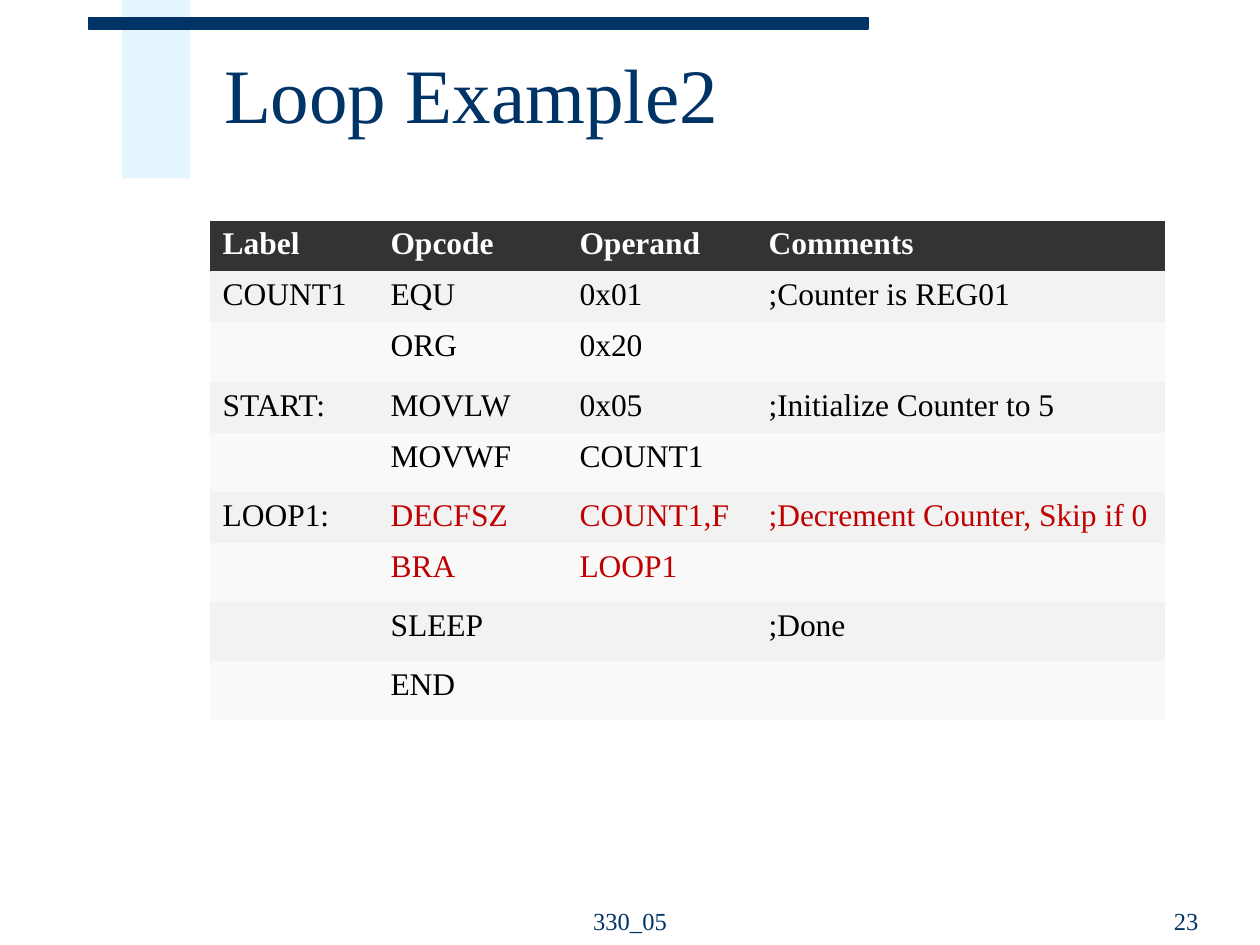
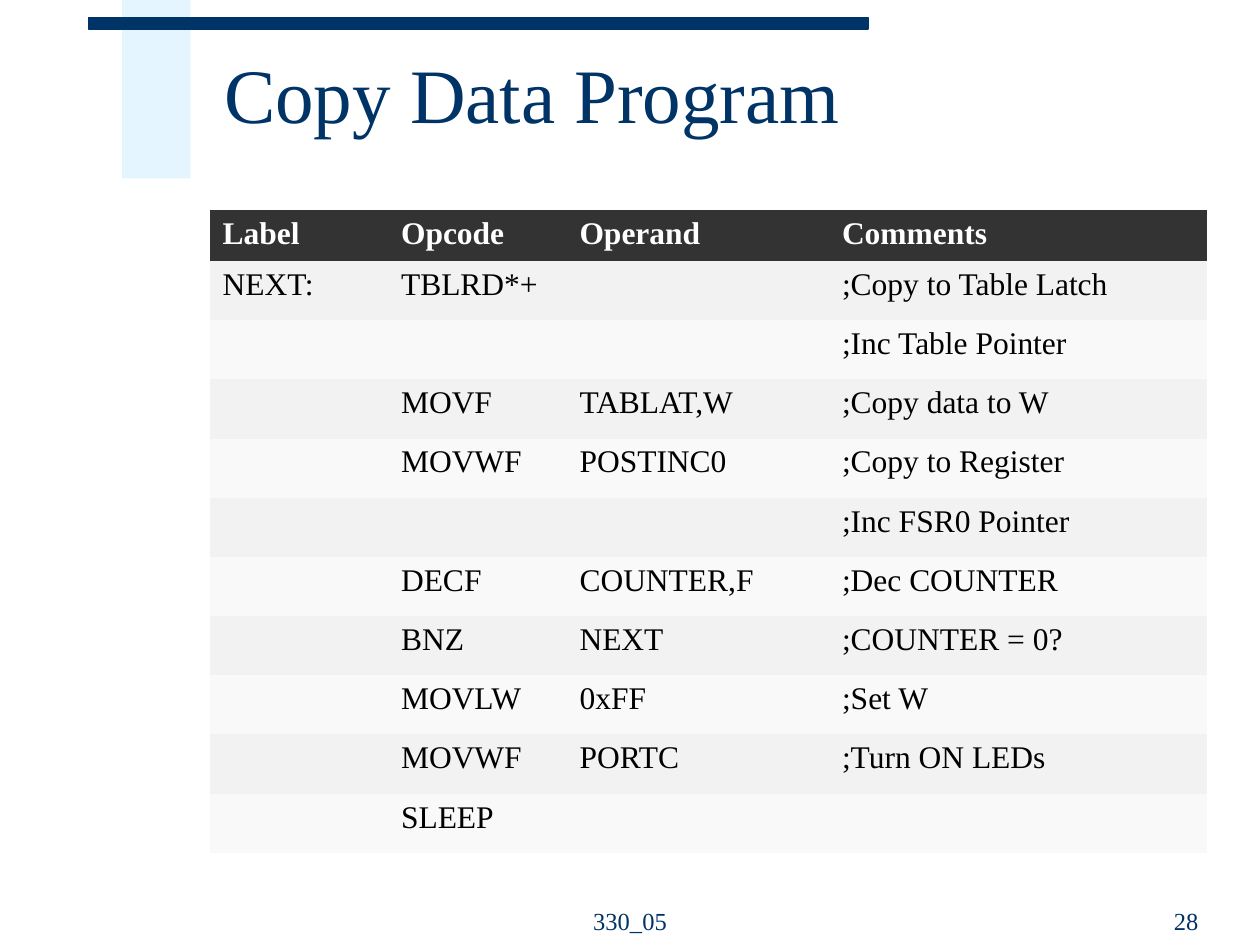
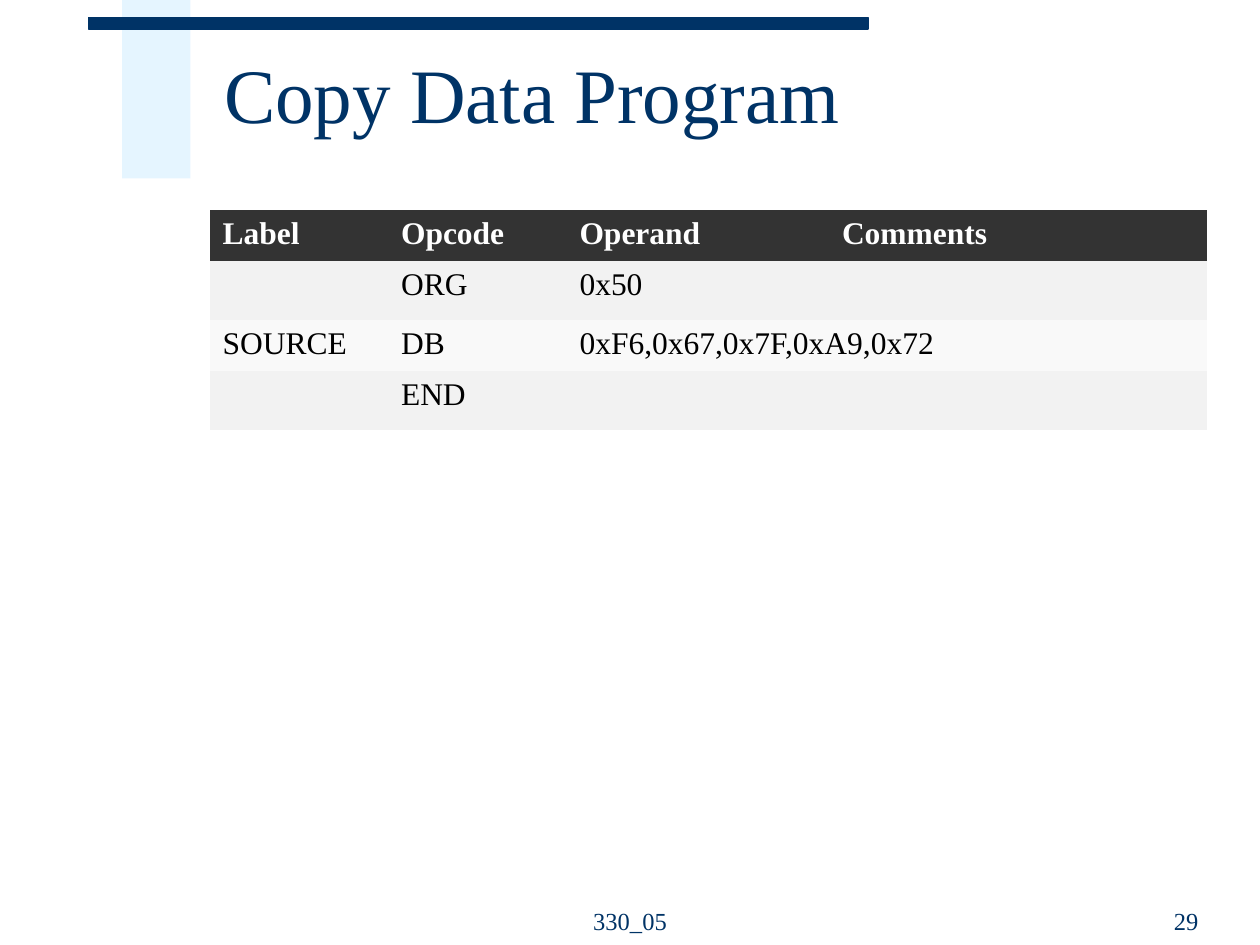
from lxml.etree import SubElement
from pptx import Presentation
from pptx.dml.color import RGBColor
from pptx.enum.shapes import MSO_SHAPE
from pptx.enum.text import MSO_ANCHOR, PP_ALIGN
from pptx.oxml.ns import qn
from pptx.util import Inches, Pt

# Shared look
NAVY = RGBColor(0x00, 0x33, 0x66)
PALE_BLUE = RGBColor(0xCC, 0xEC, 0xFF)
CHARCOAL = RGBColor(0x33, 0x33, 0x33)
STRIPES = (RGBColor(0xF9, 0xF9, 0xF9), RGBColor(0xF2, 0xF2, 0xF2))
WHITE = RGBColor(0xFF, 0xFF, 0xFF)
BLACK = RGBColor(0x00, 0x00, 0x00)
RED = RGBColor(0xC0, 0x00, 0x00)
FONT = "Times New Roman"
PLAIN_TABLE = "{2D5ABB26-0587-4C30-8999-92F81FD0307C}"

# Grid of 120 columns and 90 rows; boxes are left, top, width, height
UNIT = Inches(10) / 120
BAND_BOX = (11.64, 0, 6.5, 17)
RULE_BOX = (8.4, 1.68, 74.28, 1.08)
TITLE_BOX = (20.16, 2.04, 96.84, 15)
FOOTER_BOX = (49, 83.64, 22, 6)
NUMBER_BOX = (86.52, 83.64, 28.8, 6)
FULL_ROW, GAPPED_ROW = 4.86, 5.64

TITLE_STYLE = {"size": Pt(44), "color": NAVY}
FOOTER_STYLE = {"size": Pt(14), "color": NAVY}
HEAD_STYLE = {"size": Pt(18), "color": WHITE, "bold": True}
CODE_STYLE = {"size": Pt(18), "color": BLACK, "bold": False}
HOT_STYLE = {**CODE_STYLE, "color": RED}

HEADINGS = ("Label", "Opcode", "Operand", "Comments")
COPY_COLUMNS = (17, 17, 25, 36)

# None marks a cell covered by the one to its left
LOOP_ROWS = [
    ("COUNT1", "EQU", "0x01", ";Counter is REG01"),
    ("", "ORG", "0x20", ""),
    ("START:", "MOVLW", "0x05", ";Initialize Counter to 5"),
    ("", "MOVWF", "COUNT1", ""),
    ("LOOP1:", "DECFSZ", "COUNT1,F", ";Decrement Counter, Skip if 0"),
    ("", "BRA", "LOOP1", ""),
    ("", "SLEEP", "", ";Done"),
    ("", "END", "", ""),
]
COPY_ROWS = [
    ("NEXT:", "TBLRD*+", "", ";Copy to Table Latch"),
    ("", "", "", ";Inc Table Pointer"),
    ("", "MOVF", "TABLAT,W", ";Copy data to W"),
    ("", "MOVWF", "POSTINC0", ";Copy to Register"),
    ("", "", "", ";Inc FSR0 Pointer"),
    ("", "DECF", "COUNTER,F", ";Dec COUNTER"),
    ("", "BNZ", "NEXT", ";COUNTER = 0?"),
    ("", "MOVLW", "0xFF", ";Set W"),
    ("", "MOVWF", "PORTC", ";Turn ON LEDs"),
    ("", "SLEEP", "", ""),
]
SOURCE_ROWS = [
    ("", "ORG", "0x50", ""),
    ("SOURCE", "DB", "0xF6,0x67,0x7F,0xA9,0x72", None),
    ("", "END", "", ""),
]


def grid(*lengths):
    return [round(length * UNIT) for length in lengths]


def write(para, text, style):
    span = para.add_run()
    span.text = text
    span.font.name = FONT
    for name, value in style.items():
        if name == "color":
            span.font.color.rgb = value
        else:
            setattr(span.font, name, value)


def add_bar(page, box, color):
    bar = page.shapes.add_shape(MSO_SHAPE.RECTANGLE, *grid(*box))
    bar.shadow.inherit = False
    bar.fill.solid()
    bar.fill.fore_color.rgb = color
    bar.line.fill.background()
    return bar


def add_text(page, box, text, style, anchor, **layout):
    frame = page.shapes.add_textbox(*grid(*box)).text_frame
    frame.word_wrap = True
    frame.vertical_anchor = anchor
    para = frame.paragraphs[0]
    for name, value in layout.items():
        setattr(para, name, value)
    write(para, text, style)


def add_frame(page, title, number):
    # Half-transparent band behind the navy rule
    band = add_bar(page, BAND_BOX, PALE_BLUE)
    color = band.fill._xPr.find(".//" + qn("a:srgbClr"))
    SubElement(color, qn("a:alpha"), val="50000")
    rule = add_bar(page, RULE_BOX, NAVY)
    rule.line.color.rgb = NAVY
    rule.line.width = Pt(0.75)

    # Title and footer
    add_text(page, TITLE_BOX, title, TITLE_STYLE, MSO_ANCHOR.MIDDLE, line_spacing=0.85)
    add_text(page, FOOTER_BOX, "330_05", FOOTER_STYLE, MSO_ANCHOR.BOTTOM,
             alignment=PP_ALIGN.CENTER)
    add_text(page, NUMBER_BOX, str(number), FOOTER_STYLE, MSO_ANCHOR.BOTTOM,
             alignment=PP_ALIGN.RIGHT)


def add_listing(page, left, top, columns, body, hot_rows=()):
    lines = [HEADINGS, *body]
    heights = [GAPPED_ROW if "" in line else FULL_ROW for line in lines]
    box = grid(left, top, sum(columns), sum(heights))
    table = page.shapes.add_table(len(lines), len(columns), *box).table
    table._tbl.tblPr.find(qn("a:tableStyleId")).text = PLAIN_TABLE
    for column, width in zip(table.columns, grid(*columns)):
        column.width = width
    for row, height in zip(table.rows, grid(*heights)):
        row.height = height

    for row_index, line in enumerate(lines):
        for column_index, text in enumerate(line):
            cell = table.cell(row_index, column_index)
            cell.fill.solid()
            cell.fill.fore_color.rgb = STRIPES[row_index % 2] if row_index else CHARCOAL
            if text is None:
                table.cell(row_index, column_index - 1).merge(cell)
            elif text:
                hot = row_index in hot_rows and column_index > 0
                style = HOT_STYLE if hot else CODE_STYLE
                write(cell.text_frame.paragraphs[0], text, style if row_index else HEAD_STYLE)


def main():
    deck = Presentation()
    deck.slide_width, deck.slide_height = grid(120, 90)
    pages = [
        ("Loop Example2", 23, (20, 21, (16, 18, 18, 39), LOOP_ROWS, (5, 6))),
        ("Copy Data Program", 28, (20, 20, COPY_COLUMNS, COPY_ROWS)),
        ("Copy Data Program", 29, (20, 20, COPY_COLUMNS, SOURCE_ROWS)),
    ]
    for title, number, listing in pages:
        page = deck.slides.add_slide(deck.slide_layouts[6])
        add_frame(page, title, number)
        add_listing(page, *listing)
    deck.save("out.pptx")


if __name__ == "__main__":
    main()
